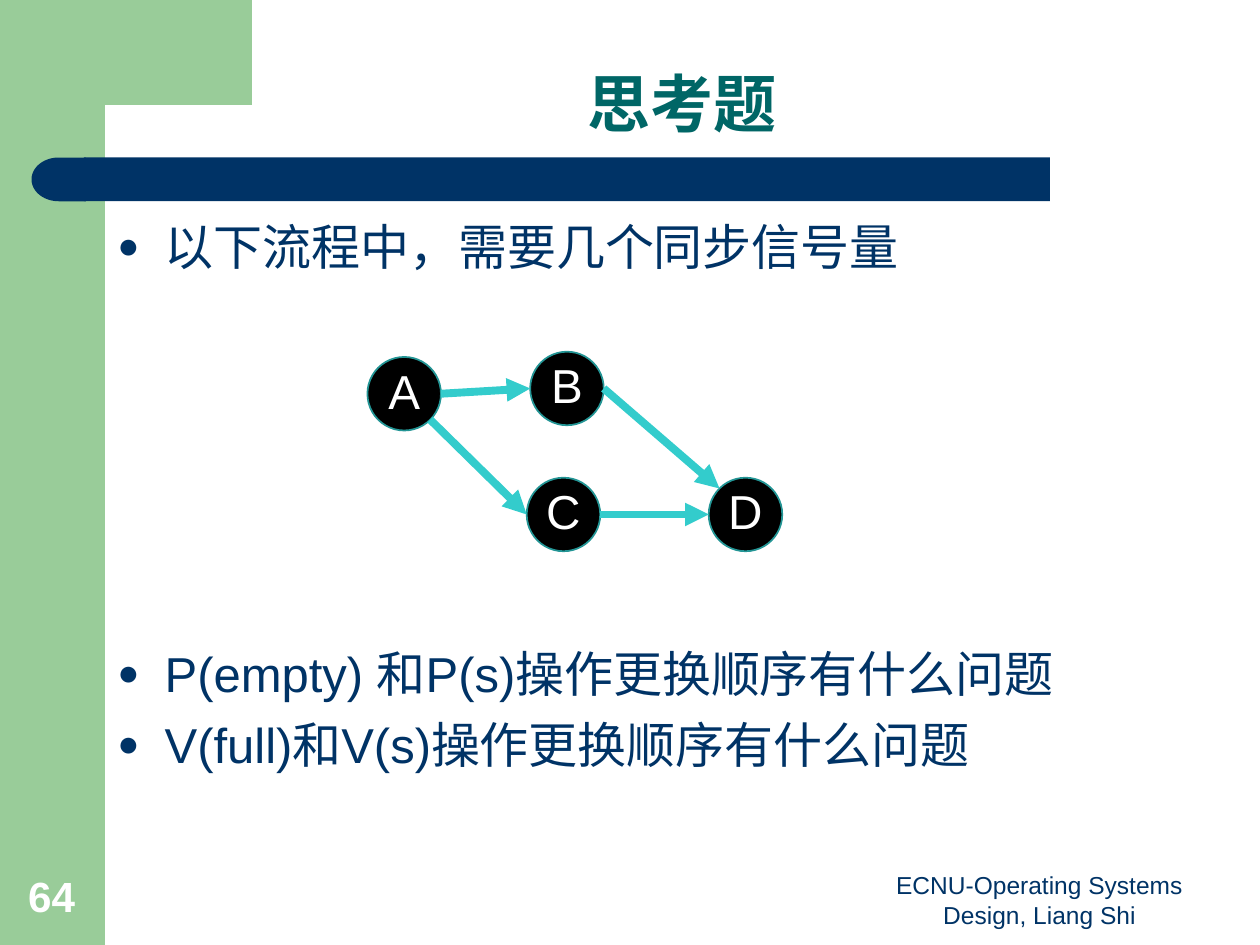
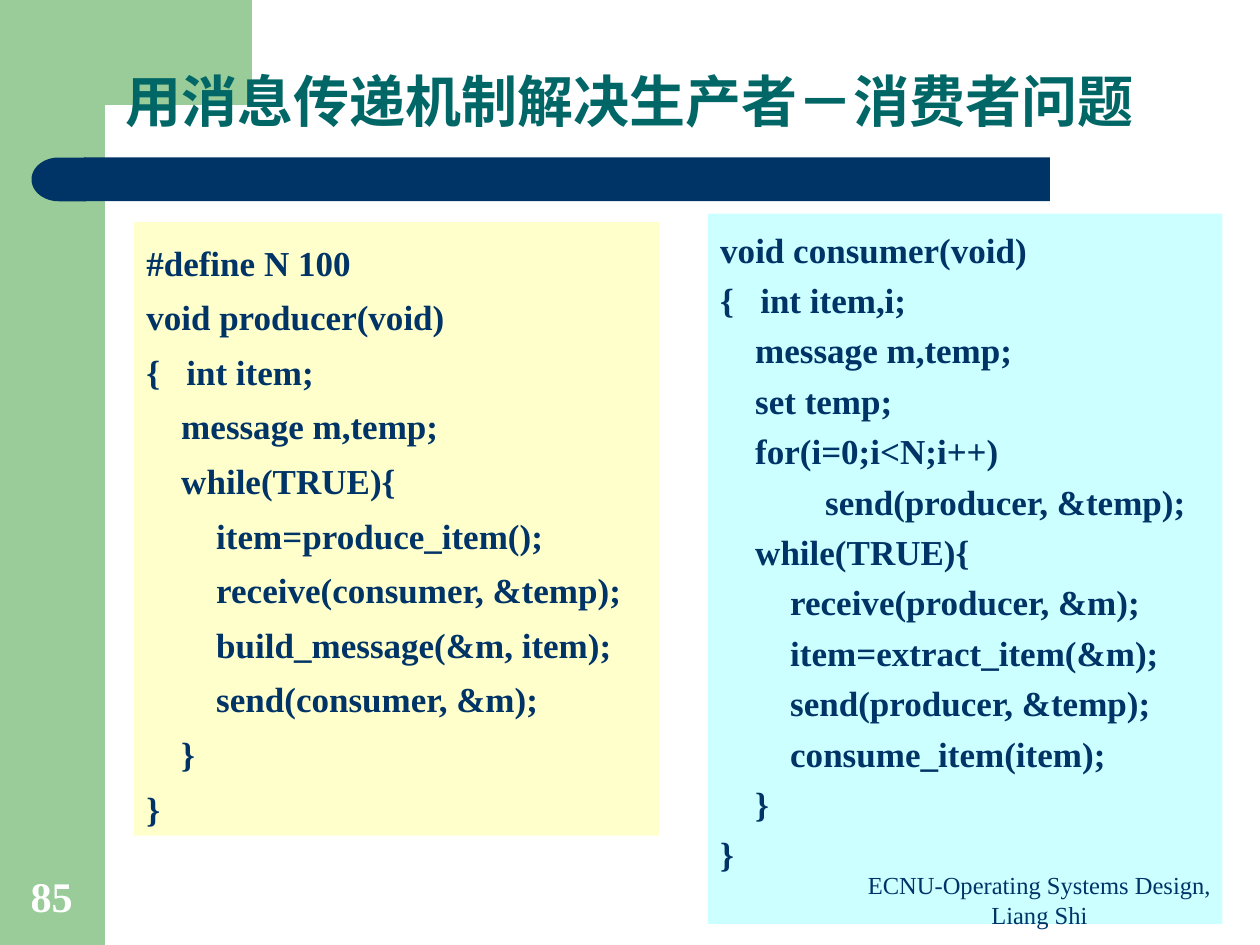
"""Build two operating-systems slides: synchronisation questions and message passing."""
from dataclasses import dataclass
from math import cos, radians, sin

from lxml import etree
from pptx import Presentation
from pptx.dml.color import RGBColor
from pptx.enum.shapes import MSO_CONNECTOR, MSO_SHAPE
from pptx.enum.text import MSO_ANCHOR, MSO_AUTO_SIZE, PP_ALIGN
from pptx.oxml.ns import qn
from pptx.util import Pt

RECT, OVAL, DELAY = MSO_SHAPE.RECTANGLE, MSO_SHAPE.OVAL, MSO_SHAPE.FLOWCHART_DELAY
STRAIGHT = MSO_CONNECTOR.STRAIGHT
TOP, MIDDLE, BOTTOM = MSO_ANCHOR.TOP, MSO_ANCHOR.MIDDLE, MSO_ANCHOR.BOTTOM
LEFT, CENTER = PP_ALIGN.LEFT, PP_ALIGN.CENTER
NO_FIT = MSO_AUTO_SIZE.NONE

GREEN, NAVY, TEAL, WHITE, BLACK = "99CC99", "003366", "006666", "FFFFFF", "000000"
CYAN, RIM, YELLOW, AQUA = "33CCCC", "239595", "FFFFCC", "CCFFFF"
SANS, SERIF, CJK = "Arial", "Times New Roman", "Noto Sans CJK SC"

CORNER = [(144, 0), (144, 59.76), (59.76, 60.48), (58.3, 59.76), (55.4, 61.2),
          (51.1, 66.2), (49, 74.9), (48.2, 83.5), (48.2, 92.2), (36, 92.2), (36, 0)]
FOOTER = "ECNU-Operating Systems Design, Liang Shi"
DIAMETER = 42
LINE_PITCH = 33.7
BULLET_GAP = 7


@dataclass
class Box:
    """A rectangle in points."""
    x: float
    y: float
    w: float
    h: float

    def lengths(self) -> list:
        """Return left, top, width and height as lengths."""
        return [Pt(v) for v in (self.x, self.y, self.w, self.h)]


@dataclass
class Style:
    """How a text is set."""
    size: float
    color: str
    font: str = SANS
    bold: bool = False
    align: PP_ALIGN = LEFT
    spacing: float = 1.0


@dataclass
class Node:
    """A process circle, placed by its top left corner."""
    x: float
    y: float

    def rim(self, angle: float) -> tuple:
        """Return the point on the circle at a clockwise angle from the right."""
        r, a = DIAMETER / 2, radians(angle)
        return Pt(self.x + r + r * cos(a)), Pt(self.y + r + r * sin(a))


@dataclass
class Arrow:
    """A link between two nodes, leaving and arriving at given angles."""
    start: str
    leave: float
    end: str
    arrive: float


@dataclass
class CodePanel:
    """A coloured panel with a program listing."""
    box: Box
    fill: str
    spacing: float
    code: str


NODES = {"A": Node(210, 204), "B": Node(303, 201), "C": Node(301, 273), "D": Node(405, 273)}
ARROWS = [Arrow("A", 0, "B", 180), Arrow("B", 0, "D", 225),
          Arrow("A", 45, "C", 180), Arrow("C", 0, "D", 180)]
QUESTIONS = ["以下流程中，需要几个同步信号量",
             "P(empty) 和P(s)操作更换顺序有什么问题",
             "V(full)和V(s)操作更换顺序有什么问题"]
DIAGRAM_LINES = 5

PRODUCER = """#define N 100
void producer(void)
{   int item;
    message m,temp;
    while(TRUE){
        item=produce_item();
        receive(consumer, &temp);
        build_message(&m, item);
        send(consumer, &m);
    }
}"""
CONSUMER = """void consumer(void)
{   int item,i;
    message m,temp;
    set temp;
    for(i=0;i<N;i++)
            send(producer, &temp);
    while(TRUE){
        receive(producer, &m);
        item=extract_item(&m);
        send(producer, &temp);
        consume_item(item);
    }
}"""
PANELS = [CodePanel(Box(76.5, 127, 300, 350.5), YELLOW, 1.3, PRODUCER),
          CodePanel(Box(404.5, 122, 294, 406), AQUA, 1.2, CONSUMER)]


def rgb(color: str) -> RGBColor:
    """Turn a hex string into a colour."""
    return RGBColor.from_string(color)


def paint(sp, fill: str, line: str = "") -> None:
    """Give a shape a flat fill, an optional thin outline and no shadow."""
    sp.shadow.inherit = False
    sp.fill.solid()
    sp.fill.fore_color.rgb = rgb(fill)
    if line:
        sp.line.color.rgb = rgb(line)
        sp.line.width = Pt(1)
    else:
        sp.line.fill.background()


def add_block(s, kind, box: Box, fill: str, line: str = ""):
    """Add a painted preset shape."""
    sp = s.shapes.add_shape(kind, *box.lengths())
    paint(sp, fill, line)
    return sp


def write(sp, lines: list, style: Style, anchor=TOP, wrap: bool = True) -> None:
    """Fill a shape with one paragraph per line."""
    tf = sp.text_frame
    tf.auto_size = NO_FIT
    tf.word_wrap = wrap
    tf.vertical_anchor = anchor
    tf.text = "\n".join(lines)
    for p in tf.paragraphs:
        p.alignment = style.align
        p.line_spacing = style.spacing
        for r in p.runs:
            r.font.name = style.font
            r.font.size = Pt(style.size)
            r.font.bold = style.bold
            r.font.color.rgb = rgb(style.color)
            ea = etree.SubElement(r.font._element, qn("a:ea"))
            ea.set("typeface", SANS)


def add_text(s, box: Box, lines: list, style: Style, anchor=TOP):
    """Add a text box."""
    sp = s.shapes.add_textbox(*box.lengths())
    write(sp, lines, style, anchor)
    return sp


def add_bullet(p) -> None:
    """Give a paragraph a hanging round bullet."""
    pPr = p._p.get_or_add_pPr()
    pPr.set("marL", str(Pt(27)))
    pPr.set("indent", str(Pt(-27)))
    color = etree.SubElement(pPr, qn("a:buClr"))
    etree.SubElement(color, qn("a:srgbClr")).set("val", NAVY)
    etree.SubElement(pPr, qn("a:buSzPct")).set("val", "75000")
    etree.SubElement(pPr, qn("a:buFont")).set("typeface", SANS)
    etree.SubElement(pPr, qn("a:buChar")).set("char", "●")


def add_arrow(s, arrow: Arrow) -> None:
    """Connect two nodes with a thick arrow."""
    begin = NODES[arrow.start].rim(arrow.leave)
    end = NODES[arrow.end].rim(arrow.arrive)
    cx = s.shapes.add_connector(STRAIGHT, *begin, *end)
    cx.line.color.rgb = rgb(CYAN)
    cx.line.width = Pt(4.5)
    etree.SubElement(cx.line._get_or_add_ln(), qn("a:tailEnd")).set("type", "triangle")
    etree.SubElement(cx.element.spPr, qn("a:effectLst"))


def add_frame(s) -> None:
    """Draw the green side band, its corner and the navy title bar."""
    add_block(s, RECT, Box(0, 0, 60, 540), GREEN)
    builder = s.shapes.build_freeform(*CORNER[0], scale=float(Pt(1)))
    builder.add_line_segments(CORNER[1:], close=True)
    paint(builder.convert_to_shape(), GREEN)
    add_block(s, RECT, Box(48, 90, 552, 25), NAVY)
    add_block(s, DELAY, Box(18, 90, 31, 25), NAVY).rotation = 180


def add_slide(prs, title: str, box: Box, size: float, font: str):
    """Start a slide with the shared frame and its title on top."""
    s = prs.slides.add_slide(prs.slide_layouts[5])
    add_frame(s)
    sp = s.shapes.title
    sp.left, sp.top, sp.width, sp.height = box.lengths()
    write(sp, [title], Style(size, TEAL, font, True, CENTER, 0.9), BOTTOM)
    s.shapes.element.append(sp.element)
    return s


def add_footer(s, number: int, font: str) -> None:
    """Add the course line and the slide number."""
    add_text(s, Box(480, 497, 228, 37.5), [FOOTER],
             Style(14, NAVY, font, align=CENTER), BOTTOM)
    add_text(s, Box(0, 492, 59, 38), [str(number)],
             Style(24.1, WHITE, font, True, CENTER, 0.9), BOTTOM)


def build_questions(prs) -> None:
    """Build the slide with questions around a process graph."""
    s = add_slide(prs, "思考题", Box(83.5, 6, 613, 78), 36, SANS)
    sp = add_text(s, Box(60, 120, 605.5, 372), QUESTIONS,
                  Style(28, NAVY, spacing=Pt(LINE_PITCH)))
    diagram = DIAGRAM_LINES * (LINE_PITCH + BULLET_GAP)
    gaps = [0, diagram + BULLET_GAP, BULLET_GAP]
    for p, gap in zip(sp.text_frame.paragraphs, gaps):
        add_bullet(p)
        p.space_before = Pt(gap)
    for name, node in NODES.items():
        sp = add_block(s, OVAL, Box(node.x, node.y, DIAMETER, DIAMETER), BLACK, RIM)
        write(sp, [name], Style(27.2, WHITE, align=CENTER, spacing=0.9), MIDDLE, False)
    for arrow in ARROWS:
        add_arrow(s, arrow)
    add_footer(s, 64, SANS)


def build_message_passing(prs) -> None:
    """Build the slide with producer and consumer code."""
    s = add_slide(prs, "用消息传递机制解决生产者－消费者问题", Box(0, 26.5, 720, 54), 32, CJK)
    for panel in PANELS:
        sp = add_block(s, RECT, panel.box, panel.fill)
        write(sp, panel.code.split("\n"),
              Style(20, NAVY, SERIF, True, spacing=panel.spacing))
    add_footer(s, 85, SERIF)


def main() -> None:
    """Build and save the presentation."""
    prs = Presentation()
    prs.slide_width, prs.slide_height = Pt(720), Pt(540)
    build_questions(prs)
    build_message_passing(prs)
    prs.save("out.pptx")


if __name__ == "__main__":
    main()
